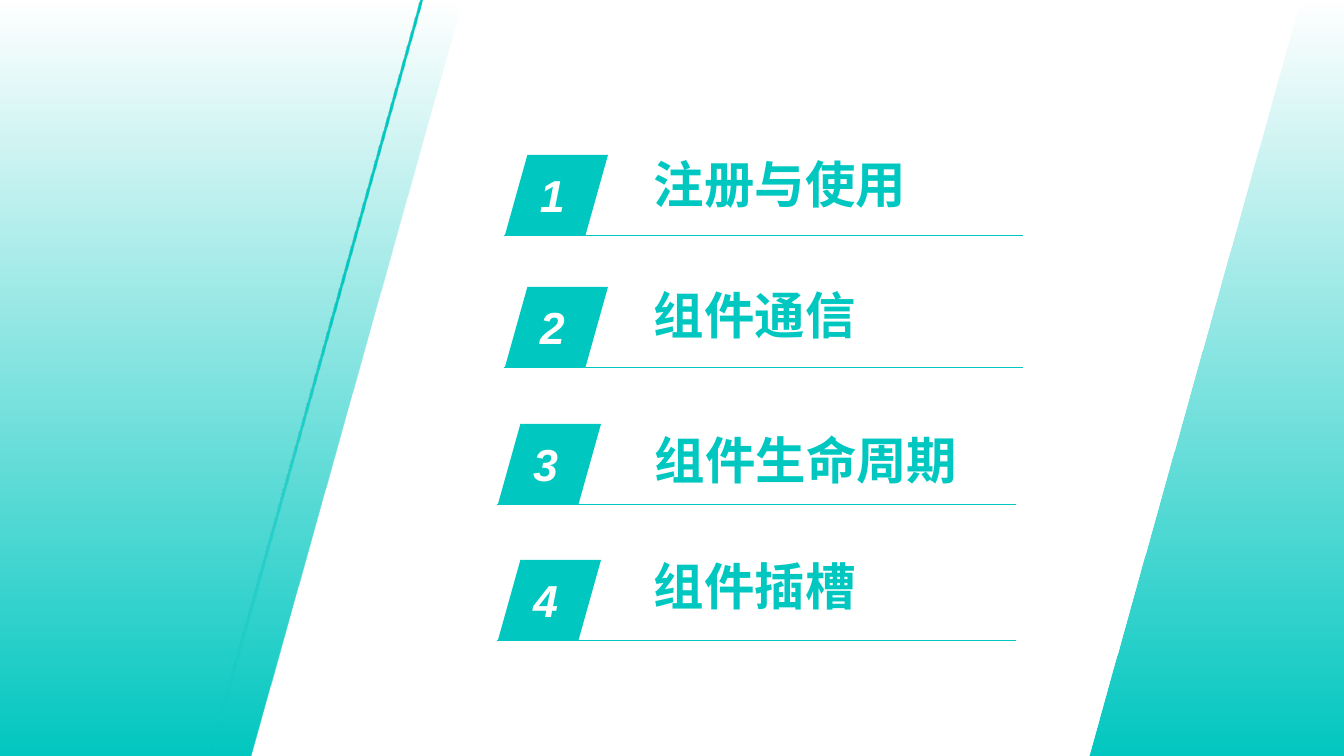
from dataclasses import dataclass

from pptx import Presentation
from pptx.dml.color import RGBColor
from pptx.enum.shapes import MSO_CONNECTOR, MSO_SHAPE
from pptx.enum.text import MSO_ANCHOR, PP_ALIGN
from pptx.oxml import parse_xml
from pptx.oxml.ns import nsdecls, qn
from pptx.util import Pt

STRAIGHT = MSO_CONNECTOR.STRAIGHT
PARALLELOGRAM = MSO_SHAPE.PARALLELOGRAM
MIDDLE, TOP = MSO_ANCHOR.MIDDLE, MSO_ANCHOR.TOP
CENTER, LEFT = PP_ALIGN.CENTER, PP_ALIGN.LEFT

WIDTH, HEIGHT = 1344, 756
SCALE = 12192000 / WIDTH


@dataclass(frozen=True)
class Theme:
    teal: str = "00C8C1"
    white: str = "FFFFFF"
    label_font: str = "Noto Sans CJK SC"
    number_font: str = "Arial"
    label_size: int = 36
    number_size: int = 32
    rule_width: float = 0.5


THEME = Theme()

AGENDA = [
    ("注册与使用", (505, 155), (644, 155, 504)),
    ("组件通信", (505, 287), (644, 286, 599)),
    ("组件生命周期", (498, 424), (645, 431, 419)),
    ("组件插槽", (498, 560), (644, 557, 419)),
]


def px(*lengths):
    return [round(n * SCALE) for n in lengths]


def solid(sp, color):
    sp.shadow.inherit = False
    sp.fill.solid()
    sp.fill.fore_color.rgb = RGBColor.from_string(color)
    sp.line.fill.background()


def fade_down(sp, stops):
    solid(sp, THEME.teal)
    gs = "".join(
        f'<a:gs pos="{pos * 1000}"><a:srgbClr val="{THEME.teal}">'
        f'<a:alpha val="{alpha * 1000}"/></a:srgbClr></a:gs>'
        for pos, alpha in stops
    )
    grad = parse_xml(
        f'<a:gradFill {nsdecls("a")} rotWithShape="1"><a:gsLst>{gs}</a:gsLst>'
        '<a:lin ang="5400000" scaled="0"/></a:gradFill>'
    )
    spPr = sp._element.spPr
    spPr.replace(spPr.find(qn("a:solidFill")), grad)


def write(sp, text, font, size, color, align, anchor, insets, italic=False):
    tf = sp.text_frame
    tf.word_wrap = True
    tf.vertical_anchor = anchor
    tf.margin_left, tf.margin_top, tf.margin_right, tf.margin_bottom = px(*insets)
    tf.text = text
    p = tf.paragraphs[0]
    p.alignment = align
    r = p.runs[0]
    r.font.name = font
    r.font.size = Pt(size)
    r.font.bold = True
    r.font.italic = italic
    r.font.color.rgb = RGBColor.from_string(color)
    r._r.get_or_add_rPr().find(qn("a:latin")).addnext(
        parse_xml(f'<a:ea {nsdecls("a")} typeface="{font}"/>')
    )
    return p


def add_polygon(shapes, points, stops):
    builder = shapes.build_freeform(*points[0], scale=SCALE)
    builder.add_line_segments(points[1:], close=True)
    fade_down(builder.convert_to_shape(), stops)


def add_backdrop(s, x, y, w, h):
    group = s.shapes.add_group_shape().shapes
    slant = 211
    band_left, band_right = x + 251, x + w - 43
    bottom = y + h
    rising, falling = [(0, 0), (100, 100)], [(0, 100), (60, 100), (100, 0)]
    falling[1] = (40, 100)
    add_polygon(group, [(x, y), (band_left + slant, y), (band_left, bottom), (x, bottom)], rising)
    stripe = x + 209
    add_polygon(
        group,
        [(stripe + slant, y), (stripe + slant + 3, y), (stripe + 3, bottom), (stripe, bottom)],
        falling,
    )
    add_polygon(
        group,
        [(band_right, y), (x + w, y), (x + w, bottom), (band_right - slant, bottom)],
        rising,
    )
    band = group.add_shape(PARALLELOGRAM, *px(band_left, y, band_right - band_left, h))
    band.adjustments[0] = 0.28
    solid(band, THEME.white)
    band._element.spPr.find(qn("a:solidFill"))[0].append(
        parse_xml(f'<a:alpha {nsdecls("a")} val="37000"/>')
    )


def add_badge(s, number, x, y, w=103, h=80):
    group = s.shapes.add_group_shape().shapes
    badge = group.add_shape(PARALLELOGRAM, *px(x, y, w, h))
    badge.adjustments[0] = 0.28
    solid(badge, THEME.teal)
    write(badge, str(number), THEME.number_font, THEME.number_size, THEME.white,
          CENTER, MIDDLE, (0, 5, 8, 5), italic=True)
    rule = group.add_connector(STRAIGHT, *px(x - 1, y + h, x + 518, y + h))
    rule.line.color.rgb = RGBColor.from_string(THEME.teal)
    rule.line.width = Pt(THEME.rule_width)
    rule._element.spPr.append(parse_xml(f'<a:effectLst {nsdecls("a")}/>'))


def add_label(s, text, x, y, w, h=80):
    label = s.shapes.add_textbox(*px(x, y, w, h))
    p = write(label, text, THEME.label_font, THEME.label_size, THEME.teal,
              LEFT, TOP, (10, 5, 10, 5))
    p.line_spacing = 0.9


def main():
    prs = Presentation()
    prs.slide_width, prs.slide_height = px(WIDTH, HEIGHT)
    s = prs.slides.add_slide(prs.slide_layouts[6])
    add_backdrop(s, 0, 0, WIDTH, HEIGHT)
    for number, (text, badge_at, label_box) in enumerate(AGENDA, 1):
        add_badge(s, number, *badge_at)
        add_label(s, text, *label_box)
    prs.save("out.pptx")


if __name__ == "__main__":
    main()
